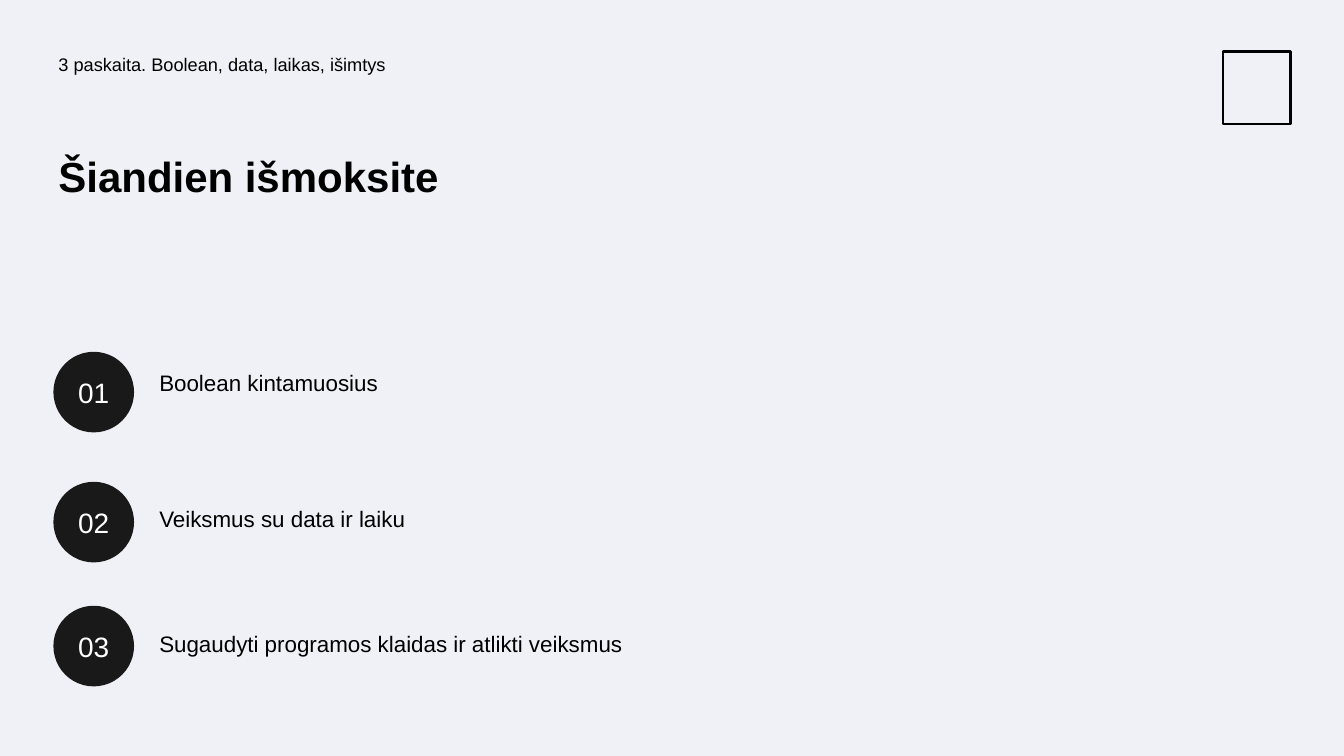
import pptx
import pptx.dml.color
import pptx.enum.shapes
import pptx.enum.text
import pptx.util

BACKGROUND = pptx.dml.color.RGBColor(0xF0, 0xF1, 0xF6)
BLACK = pptx.dml.color.RGBColor(0x00, 0x00, 0x00)
CHARCOAL = pptx.dml.color.RGBColor(0x19, 0x19, 0x19)
WHITE = pptx.dml.color.RGBColor(0xFE, 0xFF, 0xFF)

EMU_PER_PX = 9144  # 100 px to the inch
CIRCLE_SIZE = 80
LEFT = 53

# Number, topic, circle top, topic top, topic width, topic height
TOPICS = [
    ("01", "Boolean kintamuosius", 349, 364, 463, 50),
    ("02", "Veiksmus su data ir laiku", 478, 499, 463, 38),
    ("03", "Sugaudyti programos klaidas ir atlikti veiksmus", 601, 623, 487, 36),
]


def px(length):
    return pptx.util.Emu(length * EMU_PER_PX)


class SlideBuilder:
    font_name = "Arial"
    inset = 5

    def __init__(self, presentation):
        self.slide = presentation.slides.add_slide(presentation.slide_layouts[6])
        fill = self.slide.background.fill
        fill.solid()
        fill.fore_color.rgb = BACKGROUND

    def fill_text(self, shape, text, size, color, bold=False):
        """Put one run into the shape and return its paragraph."""
        frame = shape.text_frame
        frame.word_wrap = True
        frame.margin_left = frame.margin_right = px(self.inset)
        frame.margin_top = frame.margin_bottom = px(self.inset)
        paragraph = frame.paragraphs[0]
        run = paragraph.add_run()
        run.text = text
        run.font.name = self.font_name
        run.font.size = pptx.util.Pt(size)
        run.font.bold = bold
        run.font.color.rgb = color
        return paragraph

    def text(self, left, top, width, height, text, size, bold=False):
        box = self.slide.shapes.add_textbox(px(left), px(top), px(width), px(height))
        box.text_frame.vertical_anchor = pptx.enum.text.MSO_ANCHOR.TOP
        paragraph = self.fill_text(box, text, size, BLACK, bold)
        paragraph.line_spacing = 0.9

    def numbered_circle(self, left, top, number):
        circle = self.slide.shapes.add_shape(
            pptx.enum.shapes.MSO_SHAPE.OVAL,
            px(left), px(top), px(CIRCLE_SIZE), px(CIRCLE_SIZE))
        circle.shadow.inherit = False
        circle.fill.solid()
        circle.fill.fore_color.rgb = CHARCOAL
        circle.line.fill.background()
        circle.text_frame.vertical_anchor = pptx.enum.text.MSO_ANCHOR.MIDDLE
        paragraph = self.fill_text(circle, number, 20, WHITE)
        paragraph.alignment = pptx.enum.text.PP_ALIGN.CENTER

    def emblem(self, left, top, width, height):
        """Draw a plain outlined frame in the corner."""
        frame = self.slide.shapes.add_shape(
            pptx.enum.shapes.MSO_SHAPE.RECTANGLE,
            px(left), px(top), px(width), px(height))
        frame.shadow.inherit = False
        frame.fill.background()
        frame.line.color.rgb = BLACK
        frame.line.width = pptx.util.Pt(2)


def main():
    presentation = pptx.Presentation()
    presentation.slide_width = px(1333)
    presentation.slide_height = px(750)

    builder = SlideBuilder(presentation)
    builder.emblem(1213, 51, 67, 72)
    builder.text(LEFT, 50, 614, 50, "3 paskaita. Boolean, data, laikas, išimtys", 13)
    builder.text(LEFT, 150, 564, 149, "Šiandien išmoksite", 30, bold=True)
    for number, topic, circle_top, topic_top, width, height in TOPICS:
        builder.text(153, topic_top, width, height, topic, 16)
        builder.numbered_circle(LEFT, circle_top, number)

    presentation.save("out.pptx")


if __name__ == "__main__":
    main()
